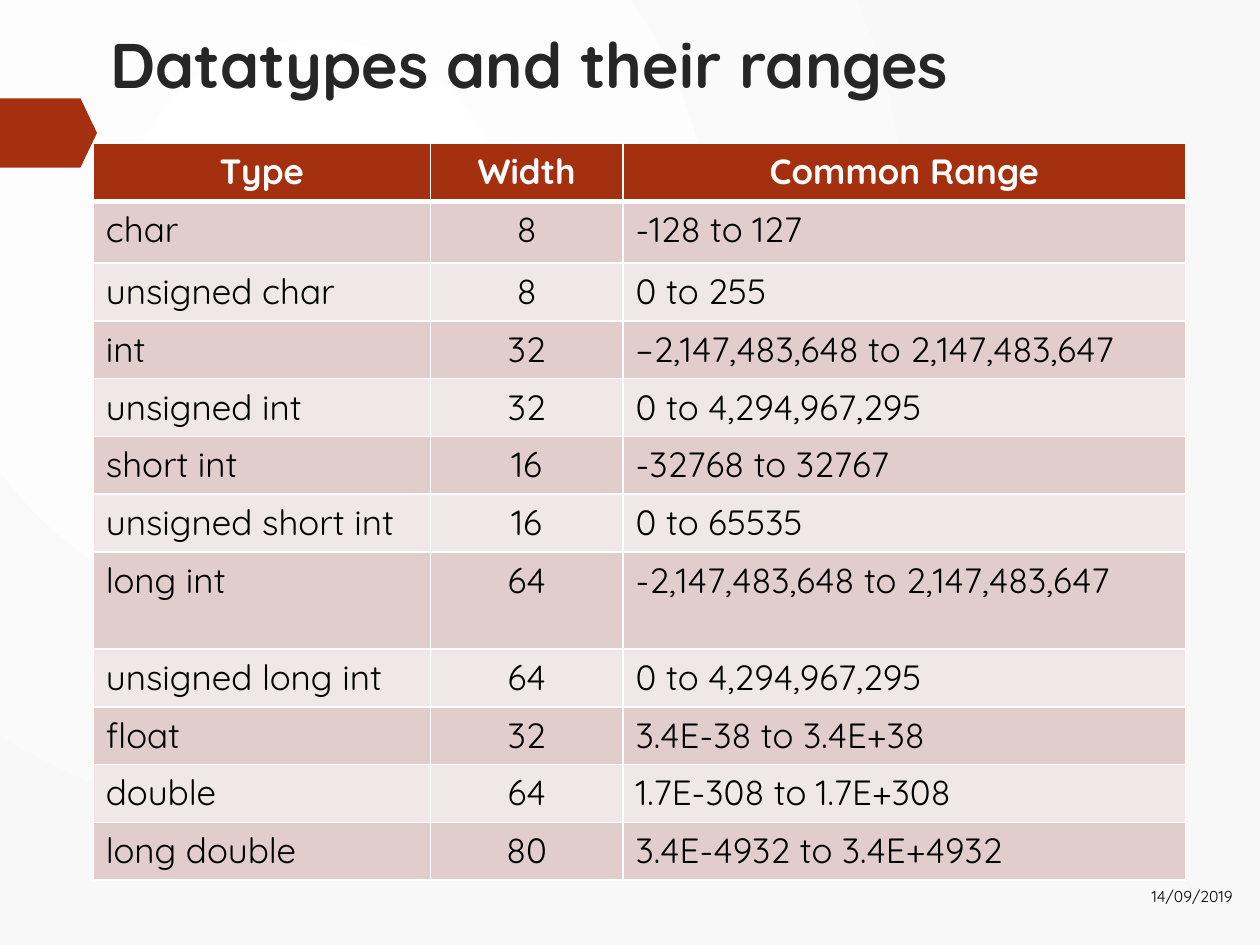
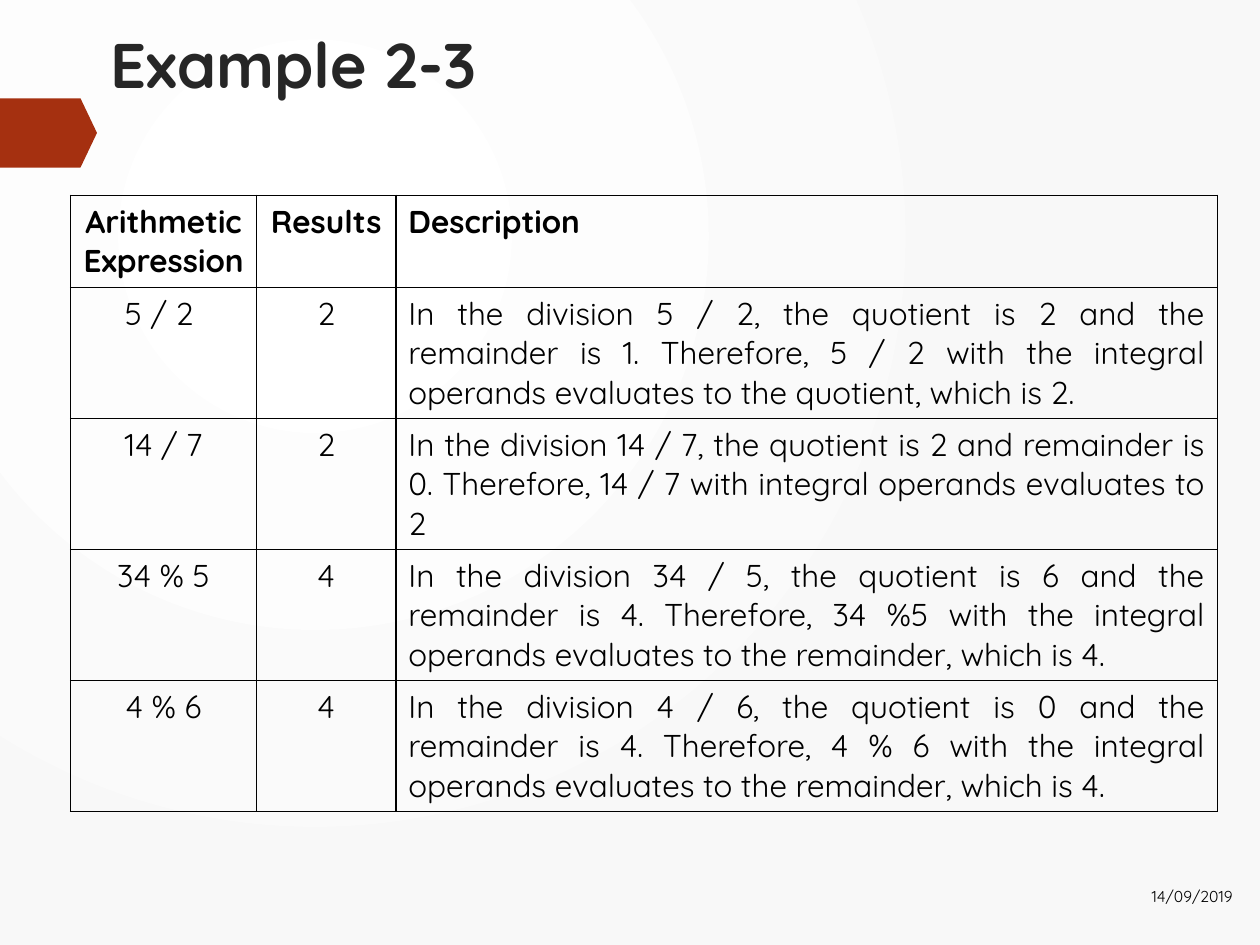
from dataclasses import dataclass

from lxml import etree
from pptx import Presentation
from pptx.dml.color import RGBColor
from pptx.enum.text import MSO_ANCHOR, PP_ALIGN
from pptx.oxml.ns import qn
from pptx.util import Inches, Pt

LEFT, CENTER, RIGHT, JUSTIFY = PP_ALIGN.LEFT, PP_ALIGN.CENTER, PP_ALIGN.RIGHT, PP_ALIGN.JUSTIFY
TOP, MIDDLE = MSO_ANCHOR.TOP, MSO_ANCHOR.MIDDLE
SLIDE_W, SLIDE_H = Inches(10), Inches(7.5)
GRID_COLS = 100
BLANK = 6


@dataclass(frozen=True)
class Theme:
    """Colours, font and type sizes of the deck."""
    font: str = "Quicksand"
    accent: str = "A53010"
    title: str = "262626"
    ink: str = "000000"
    white: str = "FFFFFF"
    backdrop: str = "F8F8F8"
    bands: tuple = ("E1CDCC", "F0E8E7")
    title_size: int = 36
    range_size: int = 20
    example_size: int = 18
    date_size: int = 9


@dataclass(frozen=True)
class TableLook:
    """Type size, alignments, colours and rules of one table."""
    size: int
    head_aligns: tuple
    aligns: tuple
    head_ink: str
    line: str
    head_rule: int = 1
    head_fill: str = ""
    bands: tuple = ("",)


THEME = Theme()
RANGE_LOOK = TableLook(THEME.range_size, (CENTER,) * 3, (LEFT, CENTER, LEFT), THEME.white,
                       THEME.white, 3, THEME.accent, THEME.bands)
EXAMPLE_LOOK = TableLook(THEME.example_size, (CENTER, CENTER, JUSTIFY),
                         (CENTER, CENTER, JUSTIFY), THEME.ink, THEME.ink)

TAG_BOX = (0, 7.8, 7.7, 5.5)
TITLE_BOX = (7.8, 1.55, 91, 8.9)
DATE_BOX = (84.1, 69.1, 14.7, 4)

RANGES = [
    ("Type", "Width", "Common Range"),
    ("char", "8", "-128 to 127"),
    ("unsigned char", "8", "0 to 255"),
    ("int", "32", "–2,147,483,648 to 2,147,483,647"),
    ("unsigned int", "32", "0 to 4,294,967,295"),
    ("short int", "16", "-32768 to 32767"),
    ("unsigned short int", "16", "0 to 65535"),
    ("long int", "64", "-2,147,483,648 to 2,147,483,647"),
    ("unsigned long int", "64", "0 to 4,294,967,295"),
    ("float", "32", "3.4E-38 to 3.4E+38"),
    ("double", "64", "1.7E-308 to 1.7E+308"),
    ("long double", "80", "3.4E-4932 to 3.4E+4932"),
]
EXAMPLES = [
    ("Arithmetic Expression", "Results", "Description"),
    ("5 / 2 ", "2", "In the division 5 / 2, the quotient is 2 and the remainder is 1. "
     "Therefore, 5 / 2 with the integral operands evaluates to the quotient, which is 2."),
    ("14 / 7", "2", "In the division 14 / 7, the quotient is 2 and remainder is 0. "
     "Therefore, 14 / 7 with integral operands evaluates to 2"),
    ("34 % 5", "4", "In the division 34 / 5, the quotient is 6 and the remainder is 4. "
     "Therefore, 34 %5 with the integral operands evaluates to the remainder, which is 4."),
    ("4 % 6", "4", "In the division 4 / 6, the quotient is 0 and the remainder is 4. "
     "Therefore, 4 % 6 with the integral operands evaluates to the remainder, which is 4."),
]


def grid(n):
    """Convert grid units to a length."""
    return round(n * SLIDE_W / GRID_COLS)


def rgb(value):
    """Turn a hex string into a colour."""
    return RGBColor.from_string(value)


def write(tf, text, size, color, align=LEFT, bold=False):
    """Put one styled paragraph into a text frame."""
    p = tf.paragraphs[0]
    p.text = text
    p.alignment = align
    p.font.name = THEME.font
    p.font.size = Pt(size)
    p.font.bold = bold
    p.font.color.rgb = rgb(color)


def add_text(slide, box, text, size, color, align=LEFT, anchor=TOP, bold=False):
    """Add a wrapped text box."""
    tf = slide.shapes.add_textbox(*map(grid, box)).text_frame
    tf.word_wrap = True
    tf.vertical_anchor = anchor
    write(tf, text, size, color, align, bold)


def add_background(slide):
    """Fill the slide with a circular gradient."""
    fill = slide.background.fill
    fill.gradient()
    colors = (THEME.white, THEME.backdrop)
    for position, (stop, color) in enumerate(zip(fill.gradient_stops, colors)):
        stop.color.rgb = rgb(color)
        stop.position = position
    lin = slide.element.find(".//" + qn("a:lin"))
    circle = etree.Element(qn("a:path"), {"path": "circle"})
    etree.SubElement(circle, qn("a:fillToRect"), l="50000", t="50000", r="100000", b="100000")
    lin.getparent().replace(lin, circle)


def add_tag(slide, box):
    """Draw the pointed tag at the left edge."""
    x, y, w, h = map(grid, box)
    points = [(x + round(w * u), y + round(h * v))
              for u, v in ((0, 0), (0.83, 0), (1, 0.5), (0.83, 1), (0, 1))]
    builder = slide.shapes.build_freeform(*points[0])
    builder.add_line_segments(points[1:], close=True)
    sp = builder.convert_to_shape()
    sp.shadow.inherit = False
    sp.fill.solid()
    sp.fill.fore_color.rgb = rgb(THEME.accent)
    sp.line.fill.background()


def add_borders(cell, color, bottom):
    """Rule the four sides of a cell."""
    tc_pr = cell._tc.get_or_add_tcPr()
    for side, width in (("L", 1), ("R", 1), ("T", 1), ("B", bottom)):
        ln = etree.SubElement(tc_pr, qn("a:ln" + side), w=str(Pt(width)))
        etree.SubElement(etree.SubElement(ln, qn("a:solidFill")), qn("a:srgbClr"), val=color)


def style_cell(cell, text, row, col, look):
    """Write, rule and fill one table cell."""
    head = row == 0
    add_borders(cell, look.line, look.head_rule if head else 1)
    fill = look.head_fill if head else look.bands[(row - 1) % len(look.bands)]
    if fill:
        cell.fill.solid()
        cell.fill.fore_color.rgb = rgb(fill)
    else:
        cell.fill.background()
    aligns = look.head_aligns if head else look.aligns
    write(cell.text_frame, text, look.size, look.head_ink if head else THEME.ink,
          aligns[col], head)


def add_grid_table(slide, origin, widths, heights, rows, look):
    """Add a table with its top left corner at the origin."""
    box = (*origin, sum(widths), sum(heights))
    table = slide.shapes.add_table(len(rows), len(widths), *map(grid, box)).table
    table.first_row = table.horz_banding = False
    for column, width in zip(table.columns, widths):
        column.width = grid(width)
    for i, (height, texts) in enumerate(zip(heights, rows)):
        table.rows[i].height = grid(height)
        for j, text in enumerate(texts):
            style_cell(table.cell(i, j), text, i, j, look)


def add_base_slide(prs, title):
    """Start a slide with the shared background, tag, title and date."""
    slide = prs.slides.add_slide(prs.slide_layouts[BLANK])
    add_background(slide)
    add_tag(slide, TAG_BOX)
    add_text(slide, TITLE_BOX, title, THEME.title_size, THEME.title, bold=True)
    add_text(slide, DATE_BOX, "14/09/2019", THEME.date_size, THEME.ink, RIGHT, MIDDLE)
    return slide


def add_ranges_slide(prs):
    """Build the slide of datatypes."""
    slide = add_base_slide(prs, "Datatypes and their ranges")
    heights = [4.6, 4.9] + [4.59] * 5 + [7.7] + [4.59] * 4
    add_grid_table(slide, (7.4, 11.38), (26.75, 15.3, 44.65), heights, RANGES, RANGE_LOOK)


def add_example_slide(prs):
    """Build the slide of arithmetic expressions."""
    slide = add_base_slide(prs, "Example 2-3")
    heights = [7.3] + [10.4] * 4
    add_grid_table(slide, (5.6, 15.5), (14.77, 11.05, 65.2), heights, EXAMPLES, EXAMPLE_LOOK)


def main():
    """Build and save the deck."""
    prs = Presentation()
    prs.slide_width, prs.slide_height = SLIDE_W, SLIDE_H
    add_ranges_slide(prs)
    add_example_slide(prs)
    prs.save("out.pptx")


if __name__ == "__main__":
    main()
